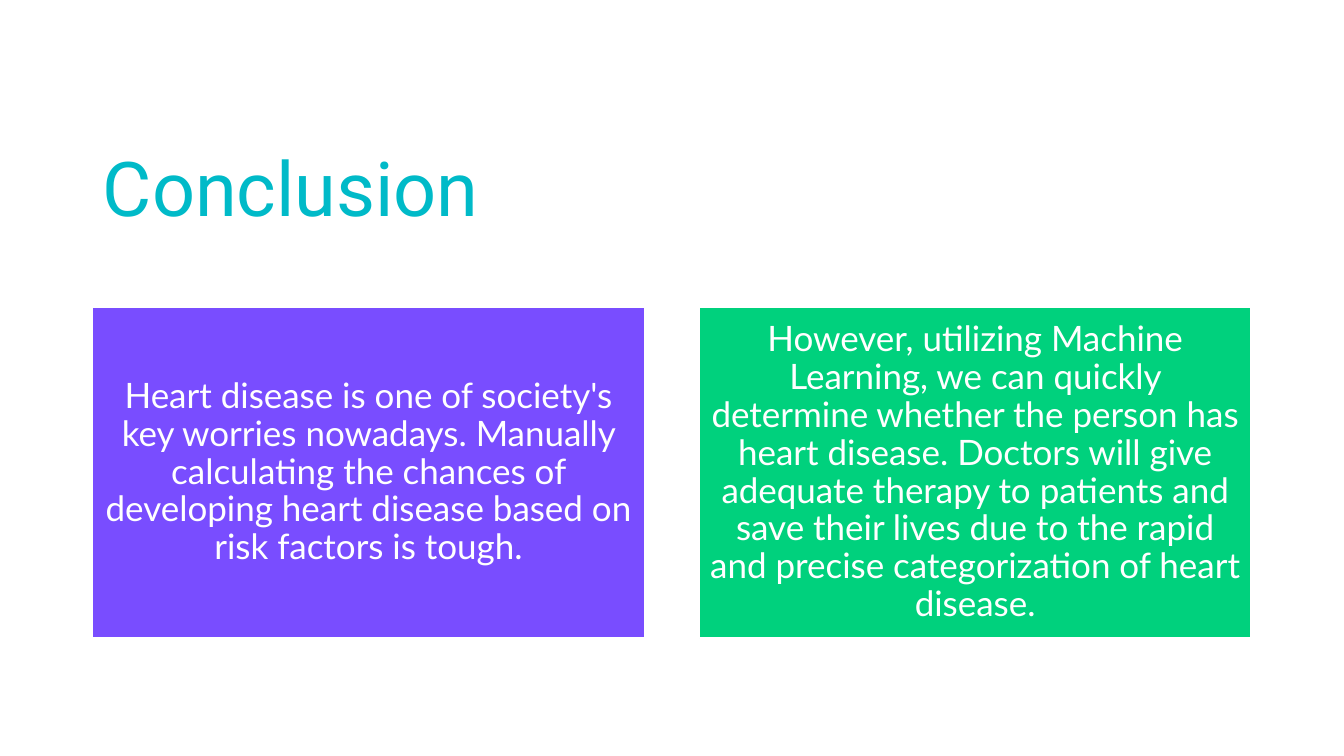
from dataclasses import dataclass

from pptx import Presentation
from pptx.dml.color import RGBColor
from pptx.enum.shapes import MSO_SHAPE as Shape
from pptx.enum.text import MSO_ANCHOR as Anchor, PP_ALIGN as Align
from pptx.util import Inches, Pt

TITLE = "Conclusion"
CARDS = [
    ("Heart disease is one of society's key worries nowadays. Manually calculating "
     "the chances of developing heart disease based on risk factors is tough.", "794DFF"),
    ("However, utilizing Machine Learning, we can quickly determine whether the person "
     "has heart disease. Doctors will give adequate therapy to patients and save their "
     "lives due to the rapid and precise categorization of heart disease.", "00D17D"),
]


@dataclass(frozen=True)
class Theme:
    title_font: str = "Roboto"
    body_font: str = "Lato"
    title_size: int = 54
    body_size: int = 25
    title_color: str = "00BAC8"
    white: str = "FFFFFF"


THEME = Theme()
LEFT, CONTENT_WIDTH = 0.92, 11.5
TITLE_TOP, TITLE_HEIGHT = 0.4, 1.96
CARD_TOP, CARD_WIDTH, CARD_HEIGHT = 3.05, 5.47, 3.28
CARD_STEP = CARD_WIDTH * 1.1


def write_text(shape, text, *, font, size, color, align, anchor, margin):
    frame = shape.text_frame
    frame.word_wrap = True
    frame.vertical_anchor = anchor
    frame.margin_left = frame.margin_right = Inches(0.1)
    frame.margin_top = frame.margin_bottom = Inches(margin)
    paragraph = frame.paragraphs[0]
    paragraph.alignment = align
    paragraph.line_spacing = 0.9
    run = paragraph.add_run()
    run.text = text
    run.font.name = font
    run.font.size = Pt(size)
    run.font.color.rgb = RGBColor.from_string(color)


def add_title(slide):
    title = slide.shapes.title
    title.left, title.top = Inches(LEFT), Inches(TITLE_TOP)
    title.width, title.height = Inches(CONTENT_WIDTH), Inches(TITLE_HEIGHT)
    write_text(title, TITLE, font=THEME.title_font, size=THEME.title_size,
               color=THEME.title_color, align=Align.LEFT, anchor=Anchor.BOTTOM,
               margin=0.05)


def add_card(slide, index, text, fill):
    card = slide.shapes.add_shape(
        Shape.RECTANGLE, Inches(LEFT + index * CARD_STEP), Inches(CARD_TOP),
        Inches(CARD_WIDTH), Inches(CARD_HEIGHT))
    card.shadow.inherit = False
    card.fill.solid()
    card.fill.fore_color.rgb = RGBColor.from_string(fill)
    card.line.color.rgb = RGBColor.from_string(THEME.white)
    card.line.width = Pt(1)
    write_text(card, text, font=THEME.body_font, size=THEME.body_size,
               color=THEME.white, align=Align.CENTER, anchor=Anchor.MIDDLE,
               margin=0.1)


def main():
    presentation = Presentation()
    presentation.slide_width = Inches(13.33)
    presentation.slide_height = Inches(7.5)
    slide = presentation.slides.add_slide(presentation.slide_layouts[5])
    add_title(slide)
    for index, (text, fill) in enumerate(CARDS):
        add_card(slide, index, text, fill)
    presentation.save("out.pptx")


if __name__ == "__main__":
    main()
